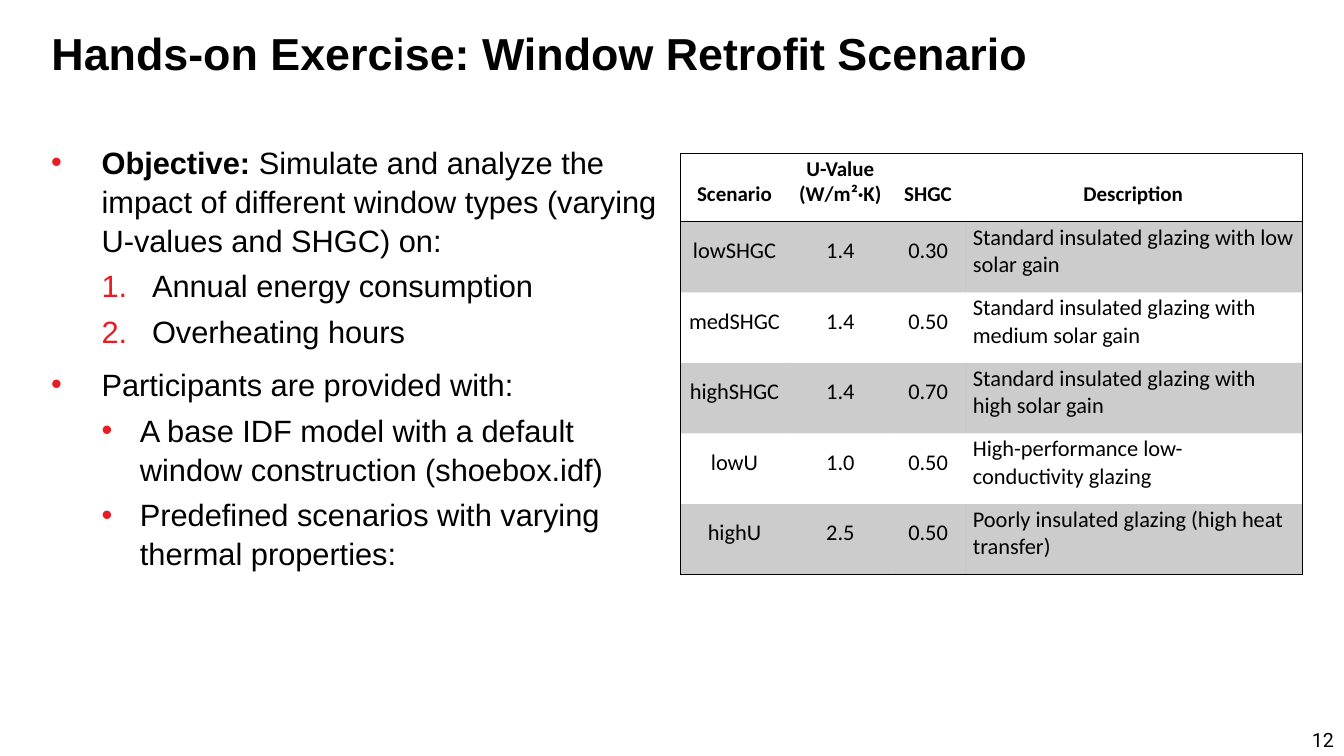
from lxml.etree import SubElement
from pptx import Presentation
from pptx.dml.color import RGBColor
from pptx.enum.text import MSO_ANCHOR, PP_ALIGN
from pptx.oxml.ns import qn
from pptx.util import Inches, Pt

BLACK = "000000"
RED = "E91C24"
NO_TABLE_STYLE = "{2D5ABB26-0587-4C30-8999-92F81FD0307C}"

# Level, marker, text margin, hanging indent, space before, (text, bold) runs
BULLET = ("buChar", "char", "•")
NUMBER = ("buAutoNum", "type", "arabicPeriod")
MAIN_POINT = (0, BULLET, 0.5, 0.5, 10)
GOAL = (1, NUMBER, 1, 0.5, 5)
SUB_POINT = (1, BULLET, 0.88, 0.38, 5)
POINTS = [
    (MAIN_POINT, [("Objective: ", True),
                  ("Simulate and analyze the impact of different window types "
                   "(varying U-values and SHGC) on:", False)]),
    (GOAL, [("Annual energy consumption", False)]),
    (GOAL, [("Overheating hours", False)]),
    (MAIN_POINT, [("Participants are provided with:", False)]),
    (SUB_POINT, [("A base IDF model with a default window construction "
                  "(shoebox.idf)", False)]),
    (SUB_POINT, [("Predefined scenarios with varying thermal properties:", False)]),
]

SCENARIOS = [
    ("Scenario", "U-Value (W/m²·K)", "SHGC", "Description"),
    ("lowSHGC", "1.4", "0.30", "Standard insulated glazing with low solar gain"),
    ("medSHGC", "1.4", "0.50", "Standard insulated glazing with medium solar gain"),
    ("highSHGC", "1.4", "0.70", "Standard insulated glazing with high solar gain"),
    ("lowU", "1.0", "0.50", "High-performance low-conductivity glazing"),
    ("highU", "2.5", "0.50", "Poorly insulated glazing (high heat transfer)"),
]
COLUMN_WIDTHS = (1.09, 1.01, 0.73, 3.34)
HEADER_HEIGHT, ROW_HEIGHT = 0.68, 0.7


def color(hex_string):
    return RGBColor.from_string(hex_string)


def format_run(run, size, font_name, bold=False):
    font = run.font
    font.size, font.name, font.bold = Pt(size), font_name, bold
    font.color.rgb = color(BLACK)


def add_title(slide, text):
    title = slide.shapes.title
    title.left, title.top = Inches(0.41), Inches(0)
    title.width, title.height = Inches(10.7), Inches(1.12)
    title.text_frame.text = text
    title.text_frame.vertical_anchor = MSO_ANCHOR.MIDDLE
    paragraph = title.text_frame.paragraphs[0]
    paragraph.alignment = PP_ALIGN.LEFT
    paragraph.line_spacing = 0.9
    format_run(paragraph.runs[0], 32, "Arial", bold=True)


def add_text_box(slide, left, top, width, height):
    box = slide.shapes.add_textbox(
        Inches(left), Inches(top), Inches(width), Inches(height))
    box.text_frame.word_wrap = True
    return box.text_frame


def set_marker(paragraph, marker, margin, hanging):
    tag, attribute, value = marker
    properties = paragraph._p.get_or_add_pPr()
    properties.set("marL", str(Inches(margin)))
    properties.set("indent", str(-Inches(hanging)))
    marker_color = SubElement(properties, qn("a:buClr"))
    SubElement(marker_color, qn("a:srgbClr"), val=RED)
    SubElement(properties, qn("a:buFont"), typeface="Arial")
    SubElement(properties, qn(f"a:{tag}"), {attribute: value})


def add_points(slide):
    frame = add_text_box(slide, 0.41, 1.36, 6.34, 4.45)
    for index, (style, runs) in enumerate(POINTS):
        level, marker, margin, hanging, space_before = style
        paragraph = frame.add_paragraph() if index else frame.paragraphs[0]
        paragraph.level = level
        paragraph.line_spacing = 1.05
        paragraph.space_before = Pt(space_before)
        set_marker(paragraph, marker, margin, hanging)
        for text, bold in runs:
            run = paragraph.add_run()
            run.text = text
            format_run(run, 22, "Arial", bold)


def add_borders(cell, sides):
    """Draw thin black lines on the sides, given in the order L, R, T, B."""
    properties = cell._tc.get_or_add_tcPr()
    for side in sides:
        line = SubElement(properties, qn(f"a:ln{side}"), w=str(Pt(1)))
        fill = SubElement(line, qn("a:solidFill"))
        SubElement(fill, qn("a:srgbClr"), val=BLACK)


def shade(cell):
    cell.fill.solid()
    cell.fill.fore_color.rgb = color(BLACK)
    tint = cell._tc.tcPr.find(f"{qn('a:solidFill')}/{qn('a:srgbClr')}")
    SubElement(tint, qn("a:alpha"), val="20000")


def format_cell(cell, text, is_header, centered):
    cell.margin_left, cell.margin_right = Inches(0.07), Inches(0.09)
    cell.margin_top, cell.margin_bottom = Inches(0.02), Inches(0.14)
    cell.vertical_anchor = MSO_ANCHOR.BOTTOM if is_header else MSO_ANCHOR.MIDDLE
    cell.text_frame.text = text
    paragraph = cell.text_frame.paragraphs[0]
    paragraph.alignment = PP_ALIGN.CENTER if centered else PP_ALIGN.LEFT
    format_run(paragraph.runs[0], 15 if is_header else 16, "Calibri", is_header)


def add_scenario_table(slide):
    last_row, last_column = len(SCENARIOS) - 1, len(COLUMN_WIDTHS) - 1
    table = slide.shapes.add_table(
        last_row + 1, last_column + 1, Inches(6.75), Inches(1.52),
        Inches(sum(COLUMN_WIDTHS)),
        Inches(HEADER_HEIGHT + last_row * ROW_HEIGHT)).table
    table._tbl.tblPr.find(qn("a:tableStyleId")).text = NO_TABLE_STYLE
    for column, width in zip(table.columns, COLUMN_WIDTHS):
        column.width = Inches(width)
    for row_index, texts in enumerate(SCENARIOS):
        is_header = row_index == 0
        table.rows[row_index].height = Inches(
            HEADER_HEIGHT if is_header else ROW_HEIGHT)
        for column_index, text in enumerate(texts):
            cell = table.cell(row_index, column_index)
            format_cell(cell, text, is_header,
                        centered=is_header or column_index < last_column)
            bordered = {"L": column_index == 0,
                        "R": column_index == last_column,
                        "T": is_header,
                        "B": row_index in (0, last_row)}
            add_borders(cell, [side for side, shown in bordered.items() if shown])
            if row_index % 2:
                shade(cell)
            else:
                cell.fill.background()


def add_page_number(slide, number):
    frame = add_text_box(slide, 10.26, 7.22, 3.07, 0.24)
    frame.margin_top = frame.margin_bottom = 0
    frame.vertical_anchor = MSO_ANCHOR.MIDDLE
    frame.text = number
    paragraph = frame.paragraphs[0]
    paragraph.alignment = PP_ALIGN.RIGHT
    format_run(paragraph.runs[0], 14, "Roboto")


def main():
    presentation = Presentation()
    presentation.slide_width = Inches(13.33)
    presentation.slide_height = Inches(7.5)
    slide = presentation.slides.add_slide(presentation.slide_layouts[5])
    add_title(slide, "Hands-on Exercise: Window Retrofit Scenario")
    add_points(slide)
    add_scenario_table(slide)
    add_page_number(slide, "12")
    presentation.save("out.pptx")


if __name__ == "__main__":
    main()
